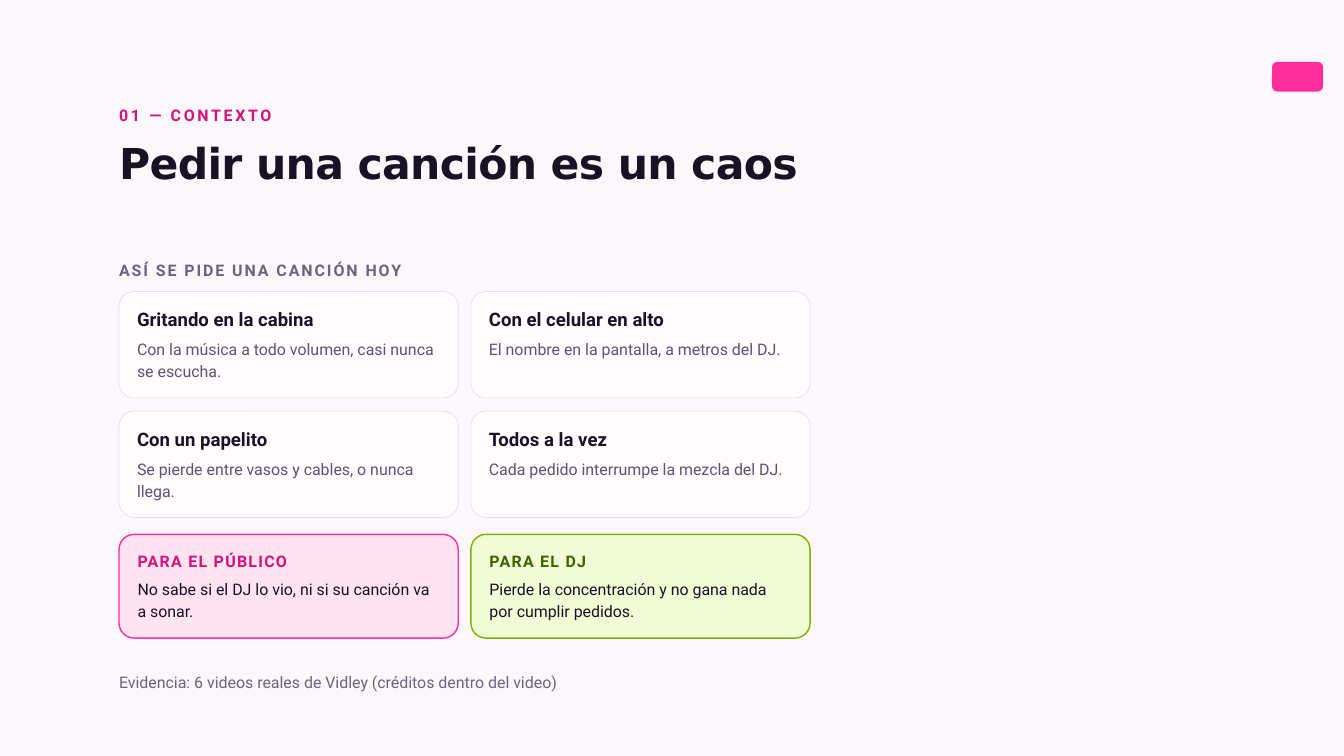
from dataclasses import dataclass

from pptx import Presentation
from pptx.dml.color import RGBColor
from pptx.enum.shapes import MSO_SHAPE
from pptx.enum.text import MSO_ANCHOR, MSO_AUTO_SIZE
from pptx.util import Cm, Pt

ROUNDED = MSO_SHAPE.ROUNDED_RECTANGLE
TOP = MSO_ANCHOR.TOP
GROW = MSO_AUTO_SIZE.SHAPE_TO_FIT_TEXT


@dataclass(frozen=True)
class Theme:
    background: str = "FBF7FA"
    ink: str = "1A1224"
    body: str = "5E5270"
    muted: str = "6E627E"
    card: str = "FFFCFE"
    card_line: str = "E7DCEB"
    pink: str = "FF2E9A"
    pink_text: str = "D4127A"
    pink_fill: str = "FFE3F1"
    green_line: str = "7DB300"
    green_text: str = "3F6200"
    green_fill: str = "F1FCD6"
    sans: str = "Roboto"
    display: str = "DejaVu Sans"
    # (type size, line spacing) in points
    text: tuple = (17.1, 23.9)
    card_title: tuple = (19.9, 27.9)
    title: tuple = (45.6, 52.4)


T = Theme()

LEFT = 4.5
COLUMN_WIDTH = 26.14
CARD_WIDTH = 12.82
COLUMN_STEP = 13.3
CARD_HEIGHT = 4.02
ROW_STEP = 4.52
CARDS_TOP = 11.02
IMPACT_TOP = 20.2
IMPACT_HEIGHT = 3.92
RADIUS = 0.57

CARDS = [
    ("Gritando en la cabina", "Con la música a todo volumen, casi nunca se escucha."),
    ("Con el celular en alto", "El nombre en la pantalla, a metros del DJ."),
    ("Con un papelito", "Se pierde entre vasos y cables, o nunca llega."),
    ("Todos a la vez", "Cada pedido interrumpe la mezcla del DJ."),
]
IMPACTS = [
    ("PARA EL PÚBLICO", "No sabe si el DJ lo vio, ni si su canción va a sonar.",
     T.pink_text, T.pink_fill, T.pink),
    ("PARA EL DJ", "Pierde la concentración y no gana nada por cumplir pedidos.",
     T.green_text, T.green_fill, T.green_line),
]


def add_text(s, text, x, y, w, h, color, style=T.text, bold=False, spacing=0, font=T.sans):
    """Add one paragraph in a box without margins; spacing is in points."""
    tf = s.shapes.add_textbox(Cm(x), Cm(y), Cm(w), Cm(h)).text_frame
    tf.margin_left = tf.margin_top = tf.margin_right = tf.margin_bottom = 0
    tf.word_wrap = True
    tf.auto_size = GROW
    tf.vertical_anchor = TOP
    size, leading = style
    p = tf.paragraphs[0]
    p.line_spacing = Pt(leading)
    r = p.add_run()
    r.text = text
    r.font.name = font
    r.font.size = Pt(size)
    r.font.bold = bold
    r.font.color.rgb = RGBColor.from_string(color)
    if spacing:
        r.font._element.set("spc", str(round(spacing * 100)))


def add_panel(s, x, y, w, h, radius, fill, line=None, line_width=0.75):
    sp = s.shapes.add_shape(ROUNDED, Cm(x), Cm(y), Cm(w), Cm(h))
    sp.shadow.inherit = False
    sp.adjustments[0] = radius / min(w, h)
    sp.fill.solid()
    sp.fill.fore_color.rgb = RGBColor.from_string(fill)
    if line:
        sp.line.color.rgb = RGBColor.from_string(line)
        sp.line.width = Pt(line_width)
    else:
        sp.line.fill.background()


def add_header(s, x, y, w):
    add_text(s, "01 — CONTEXTO", x, y, w, 0.94, T.pink_text, bold=True, spacing=2.9)
    add_text(s, "Pedir una canción es un caos", x, y + 1.4, w, 3.63, T.ink,
             T.title, bold=True, spacing=-0.7, font=T.display)


def add_card(s, x, y, w, h, title, body):
    add_panel(s, x, y, w, h, RADIUS, T.card, T.card_line)
    inset = 0.68
    inner = w - 2 * inset
    add_text(s, title, x + inset, y + 0.48, inner, 1.09, T.ink, T.card_title, bold=True)
    add_text(s, body, x + inset, y + 1.7, inner, 1.73, T.body)


def add_impact(s, x, y, w, h, title, body, accent, fill, line):
    add_panel(s, x, y, w, h, RADIUS, fill, line, 1.5)
    inset = 0.7
    inner = w - 2 * inset
    add_text(s, title, x + inset, y + 0.53, inner, 0.91, accent, bold=True, spacing=1.4)
    add_text(s, body, x + inset, y + 1.57, inner, 1.75, T.ink)


def main():
    prs = Presentation()
    prs.slide_width = Cm(50.8)
    prs.slide_height = Cm(28.575)
    s = prs.slides.add_slide(prs.slide_layouts[6])
    s.background.fill.solid()
    s.background.fill.fore_color.rgb = RGBColor.from_string(T.background)

    add_header(s, LEFT, 3.86, COLUMN_WIDTH)
    add_panel(s, 48.08, 2.34, 1.93, 1.12, 0.2, T.pink)

    add_text(s, "ASÍ SE PIDE UNA CANCIÓN HOY", LEFT, 9.73, COLUMN_WIDTH, 0.94,
             T.muted, bold=True, spacing=2.1)
    for i, card in enumerate(CARDS):
        row, col = divmod(i, 2)
        add_card(s, LEFT + col * COLUMN_STEP, CARDS_TOP + row * ROW_STEP,
                 CARD_WIDTH, CARD_HEIGHT, *card)
    for col, impact in enumerate(IMPACTS):
        add_impact(s, LEFT + col * COLUMN_STEP, IMPACT_TOP,
                   CARD_WIDTH, IMPACT_HEIGHT, *impact)

    add_text(s, "Evidencia: 6 videos reales de Vidley (créditos dentro del video)",
             LEFT, 25.3, 32.66, 0.94, T.muted)
    prs.save("out.pptx")


if __name__ == "__main__":
    main()
